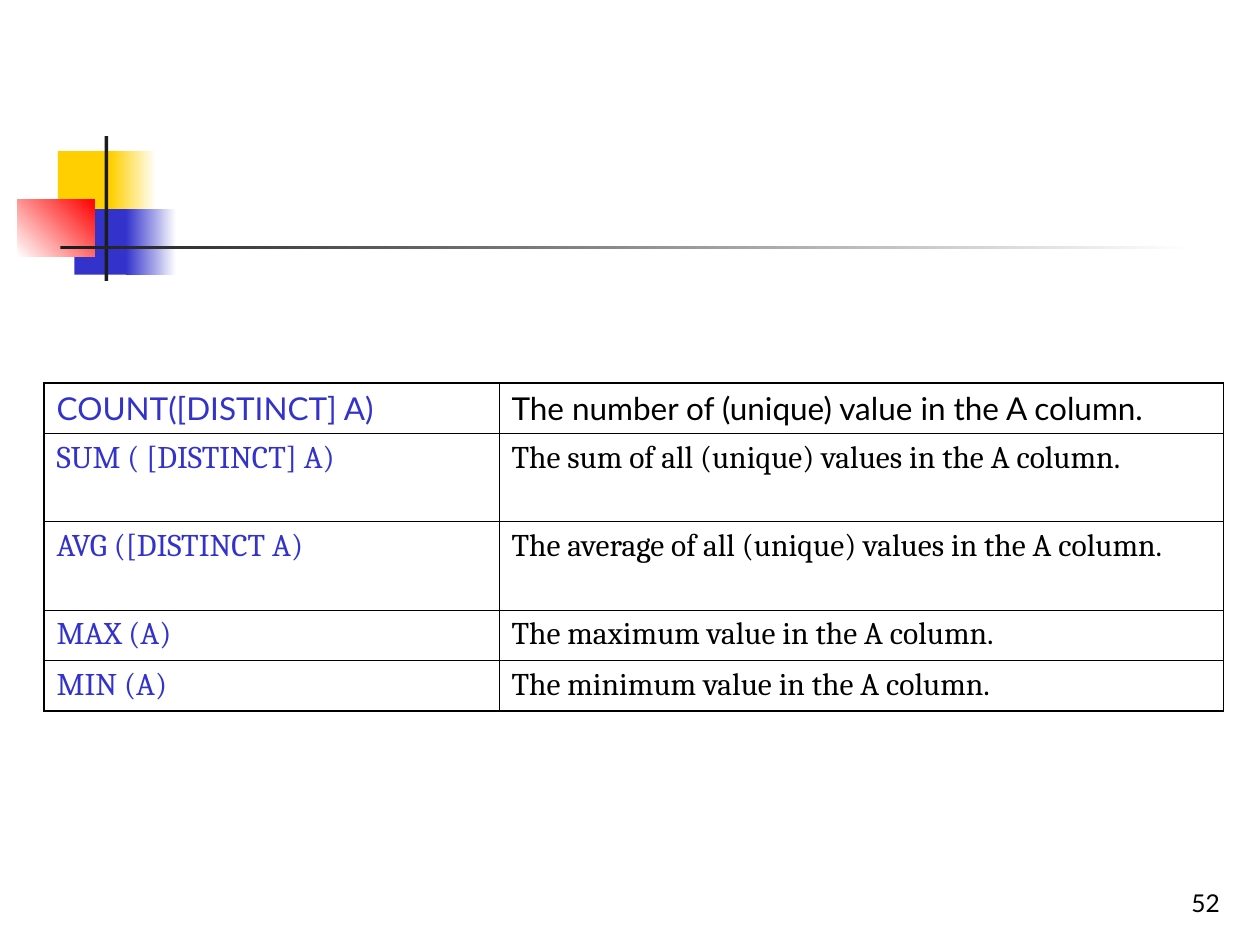
from lxml import etree
from pptx import Presentation
from pptx.dml.color import RGBColor
from pptx.enum.shapes import MSO_SHAPE
from pptx.enum.text import MSO_ANCHOR, PP_ALIGN
from pptx.oxml.ns import qn
from pptx.util import Inches, Pt

RECT = MSO_SHAPE.RECTANGLE
RIGHT = PP_ALIGN.RIGHT
BOTTOM = MSO_ANCHOR.BOTTOM

BLACK = RGBColor(0, 0, 0)
WHITE = RGBColor(0xFF, 0xFF, 0xFF)
GOLD = RGBColor(0xFF, 0xCF, 0x01)
BLUE = RGBColor(0x33, 0x33, 0xCC)
RED = RGBColor(0xFF, 0, 0)
DARK = RGBColor(0x1C, 0x1C, 0x1C)

THICK, THIN = 1.08, 0.45
COLS = [3.61, 5.75]
ROWS = [0.4, 0.7, 0.7, 0.4, 0.4]
AGGREGATES = [
    ("COUNT([DISTINCT] A)", "The number of (unique) value in the A column."),
    ("SUM ( [DISTINCT] A)", "The sum of all (unique) values in the A column."),
    ("AVG ([DISTINCT A)", "The average of all (unique) values in the A column."),
    ("MAX (A)", "The maximum value in the A column."),
    ("MIN (A)", "The minimum value in the A column."),
]


class Deck:
    head = "Lato"
    body = "Cambria"

    def __init__(self, slide):
        self.slide = slide

    def font(self, para, name, size, color):
        para.font.name = name
        para.font.size = Pt(size)
        para.font.color.rgb = color

    def rect(self, box, color, end=None, angle=0):
        """Draw a plain block, or one that fades from color to end."""
        shape = self.slide.shapes.add_shape(RECT, *map(Inches, box))
        shape.shadow.inherit = False
        shape.line.fill.background()
        if end is None:
            shape.fill.solid()
            shape.fill.fore_color.rgb = color
            return
        shape.fill.gradient()
        shape.fill.gradient_angle = angle
        for stop, tint in zip(shape.fill.gradient_stops, (color, end)):
            stop.color.rgb = tint

    def number(self, box, text):
        frame = self.slide.shapes.add_textbox(*map(Inches, box)).text_frame
        frame.word_wrap = True
        frame.vertical_anchor = BOTTOM
        para = frame.paragraphs[0]
        para.text = text
        para.alignment = RIGHT
        self.font(para, self.head, 14, BLACK)

    def border(self, cell, widths):
        """Set the left, right, top and bottom lines, ahead of the fill."""
        props = cell._tc.get_or_add_tcPr()
        for i, (side, width) in enumerate(zip("LRTB", widths)):
            line = etree.Element(qn(f"a:ln{side}"), w=str(Pt(width)))
            fill = etree.SubElement(line, qn("a:solidFill"))
            etree.SubElement(fill, qn("a:srgbClr"), val=str(BLACK))
            props.insert(i, line)

    def table(self, left, top, cols, rows, data):
        box = map(Inches, (left, top, sum(cols), sum(rows)))
        table = self.slide.shapes.add_table(len(rows), len(cols), *box).table
        table.first_row = table.horz_banding = False
        for col, width in zip(table.columns, cols):
            col.width = Inches(width)
        for row, height in zip(table.rows, rows):
            row.height = Inches(height)
        for r, texts in enumerate(data):
            for c, text in enumerate(texts):
                cell = table.cell(r, c)
                cell.fill.background()
                edges = (c == 0, c == len(cols) - 1, r == 0, r == len(rows) - 1)
                self.border(cell, [THICK if edge else THIN for edge in edges])
                para = cell.text_frame.paragraphs[0]
                para.text = text
                name = self.body if r else self.head
                self.font(para, name, 18, BLACK if c else BLUE)


def main():
    prs = Presentation()
    prs.slide_width, prs.slide_height = Inches(10), Inches(7.5)
    deck = Deck(prs.slides.add_slide(prs.slide_layouts[6]))

    deck.rect((0.46, 1.2, 0.48, 0.52), GOLD)
    deck.rect((0.88, 1.2, 0.36, 0.52), GOLD, WHITE)
    deck.rect((0.59, 1.66, 0.46, 0.52), BLUE)
    deck.rect((1, 1.66, 0.4, 0.52), BLUE, WHITE)
    deck.rect((0.14, 1.58, 0.61, 0.46), WHITE, RED, 45)
    deck.rect((0.83, 1.08, 0.03, 1.15), DARK)
    deck.rect((0.48, 1.95, 9, 0.03), DARK, WHITE)

    deck.number((7.7, 6.83, 2.08, 0.5), "52")
    deck.table(0.35, 3.04, COLS, ROWS, AGGREGATES)
    prs.save("out.pptx")


if __name__ == "__main__":
    main()
